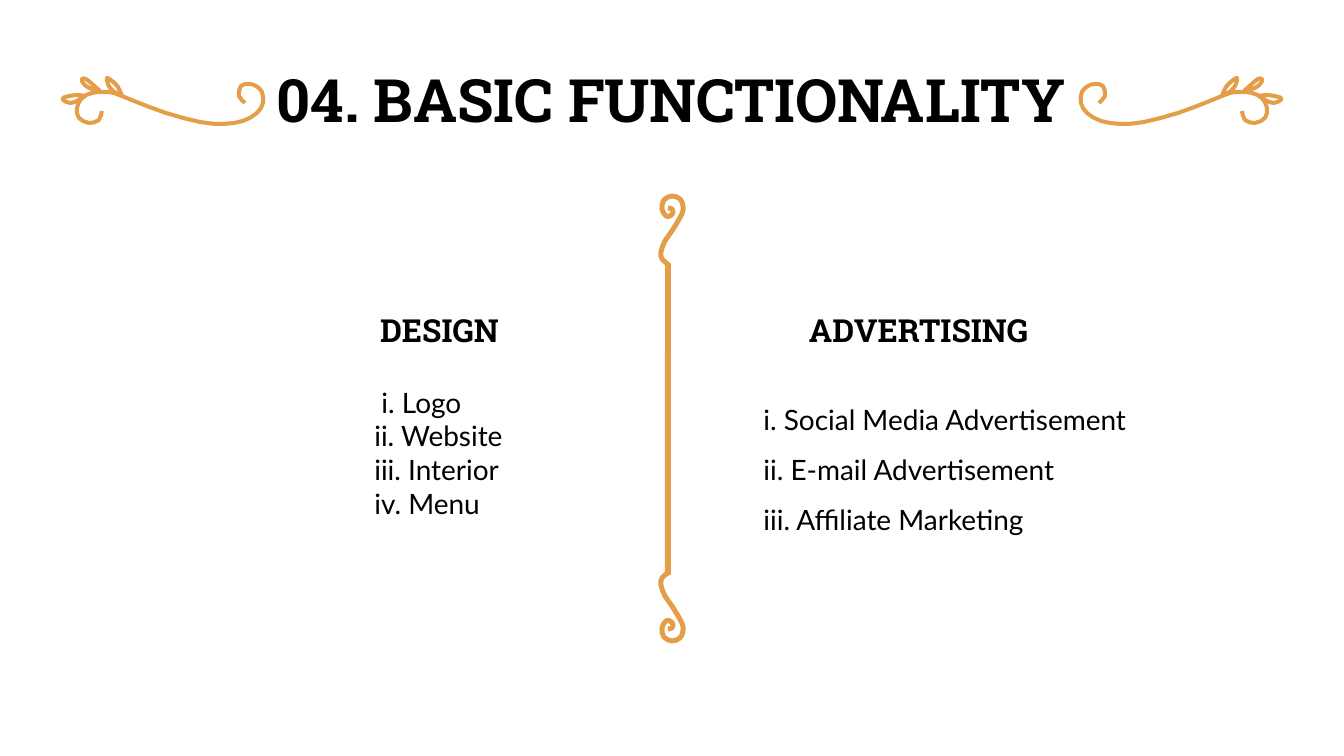
import pptx
import pptx.util
import pptx.dml.color
import pptx.enum.shapes
import pptx.enum.text

PX = 914400 / 134.4
WIDTH, HEIGHT = 1344, 756
COLORS = {"ink": "000000", "gold": "E49E48"}
MIDDLE = pptx.enum.text.MSO_ANCHOR.MIDDLE
TOP = pptx.enum.text.MSO_ANCHOR.TOP
CENTER = pptx.enum.text.PP_ALIGN.CENTER
LEFT = pptx.enum.text.PP_ALIGN.LEFT

STYLES = {
    "title": {"size": 32, "font": "Roboto Slab", "bold": True, "anchor": MIDDLE, "align": CENTER},
    "heading": {"size": 17, "font": "Roboto Slab", "bold": True, "anchor": MIDDLE, "align": CENTER},
    "list": {"size": 15, "font": "Lato", "bold": False, "anchor": TOP, "align": LEFT},
}
TITLE = ("04. BASIC FUNCTIONALITY", (251, 51, 841, 95))
COLUMNS = [
    {
        "heading": "DESIGN",
        "heading_box": (336, 300, 187, 59),
        "items": [" i. Logo", "ii. Website", "iii. Interior", "iv. Menu"],
        "items_box": (341, 372, 218, 138),
        "spacing": 1.0,
    },
    {
        "heading": "ADVERTISING",
        "heading_box": (746, 300, 325, 59),
        "items": ["i. Social Media Advertisement", "ii. E-mail Advertisement",
                  "iii. Affiliate Marketing"],
        "items_box": (730, 372, 411, 113),
        "spacing": 1.5,
    },
]

FLOURISH = [
    [(1099, 103), (1105, 96), (1103, 86), (1095, 84), (1088, 86), (1082, 92), (1081, 103),
     (1087, 113), (1101, 121), (1121, 124), (1144, 122), (1178, 113), (1210, 101),
     (1230, 93), (1242, 92), (1252, 93), (1262, 98), (1267, 108), (1265, 118),
     (1255, 123), (1245, 120), (1242, 111)],
    [(1244, 91), (1252, 84), (1258, 79), (1262, 79), (1261, 83), (1255, 88), (1244, 91)],
    [(1259, 96), (1267, 95), (1279, 97), (1281, 100), (1274, 103), (1267, 101), (1259, 96)],
    [(1222, 96), (1226, 87), (1232, 81), (1237, 78), (1236, 84), (1233, 89), (1228, 93),
     (1222, 96)],
]
SCROLL = [(668, 208), (672, 209), (673, 213), (670, 216), (666, 216), (662, 209), (664, 200),
          (672, 196), (680, 199), (683, 206), (682, 214), (672, 231), (665, 241), (661, 252),
          (662, 259), (668, 264)]
BAR = (665, 263, 6, 312)
SCROLL_MIRROR = 837
STEPS = 2


def emu(values):
    return [round(value * PX) for value in values]


def smooth_curve(knots):
    padded = [knots[0], *knots, knots[-1]]
    curve = []
    for a, b, c, d in zip(padded, padded[1:], padded[2:], padded[3:]):
        for step in range(STEPS):
            t = step / STEPS
            curve.append([
                0.5 * (2 * q + (r - p) * t + (2 * p - 5 * q + 4 * r - s) * t ** 2
                       + (3 * q - p - 3 * r + s) * t ** 3)
                for p, q, r, s in zip(a, b, c, d)])
    return curve + [knots[-1]]


def gold(fill):
    fill.solid()
    fill.fore_color.rgb = pptx.dml.color.RGBColor.from_string(COLORS["gold"])


def add_stroke(slide, knots, thickness):
    curve = [emu(point) for point in smooth_curve(knots)]
    builder = slide.shapes.build_freeform(*curve[0], scale=1.0)
    builder.add_line_segments(curve[1:], close=False)
    stroke = builder.convert_to_shape()
    stroke.shadow.inherit = False
    stroke.fill.background()
    gold(stroke.line.fill)
    stroke.line.width = round(thickness * PX)


def write_text(shape, box, lines, style, spacing=1.0, hanging=True):
    for side, value in zip(("left", "top", "width", "height"), emu(box)):
        setattr(shape, side, value)
    frame = shape.text_frame
    inset = pptx.util.Inches(0.1)
    frame_format = {
        "word_wrap": True, "auto_size": pptx.enum.text.MSO_AUTO_SIZE.NONE,
        "vertical_anchor": style["anchor"], "margin_left": inset, "margin_right": inset,
        "margin_top": inset, "margin_bottom": inset,
    }
    for name, value in frame_format.items():
        setattr(frame, name, value)
    frame.text = "\n".join(lines)
    for paragraph in frame.paragraphs:
        if hanging:
            properties = paragraph._p.get_or_add_pPr()
            properties.set("marL", str(pptx.util.Inches(0.5)))
            properties.set("indent", str(pptx.util.Inches(-0.35)))
        paragraph.alignment = style["align"]
        paragraph.line_spacing = spacing
        font_format = {"name": style["font"], "size": pptx.util.Pt(style["size"]),
                       "bold": style["bold"]}
        for run in paragraph.runs:
            for name, value in font_format.items():
                setattr(run.font, name, value)
            run.font.color.rgb = pptx.dml.color.RGBColor.from_string(COLORS["ink"])


def main():
    deck = pptx.Presentation()
    deck.slide_width, deck.slide_height = emu((WIDTH, HEIGHT))
    slide = deck.slides.add_slide(deck.slide_layouts.get_by_name("Title Only"))

    title, title_box = TITLE
    write_text(slide.shapes.title, title_box, [title], STYLES["title"], hanging=False)

    for stroke in FLOURISH:
        add_stroke(slide, stroke, 4)
        add_stroke(slide, [(WIDTH - x, y) for x, y in stroke], 4)

    for column in COLUMNS:
        heading = slide.shapes.add_textbox(0, 0, 0, 0)
        write_text(heading, column["heading_box"], [column["heading"]], STYLES["heading"])
        items = slide.shapes.add_textbox(0, 0, 0, 0)
        write_text(items, column["items_box"], column["items"], STYLES["list"],
                   column["spacing"])

    add_stroke(slide, SCROLL, 5)
    add_stroke(slide, [(x, SCROLL_MIRROR - y) for x, y in SCROLL], 5)
    bar = slide.shapes.add_shape(pptx.enum.shapes.MSO_SHAPE.ROUNDED_RECTANGLE, *emu(BAR))
    bar.shadow.inherit = False
    gold(bar.fill)
    bar.line.fill.background()

    deck.save("out.pptx")


if __name__ == "__main__":
    main()
